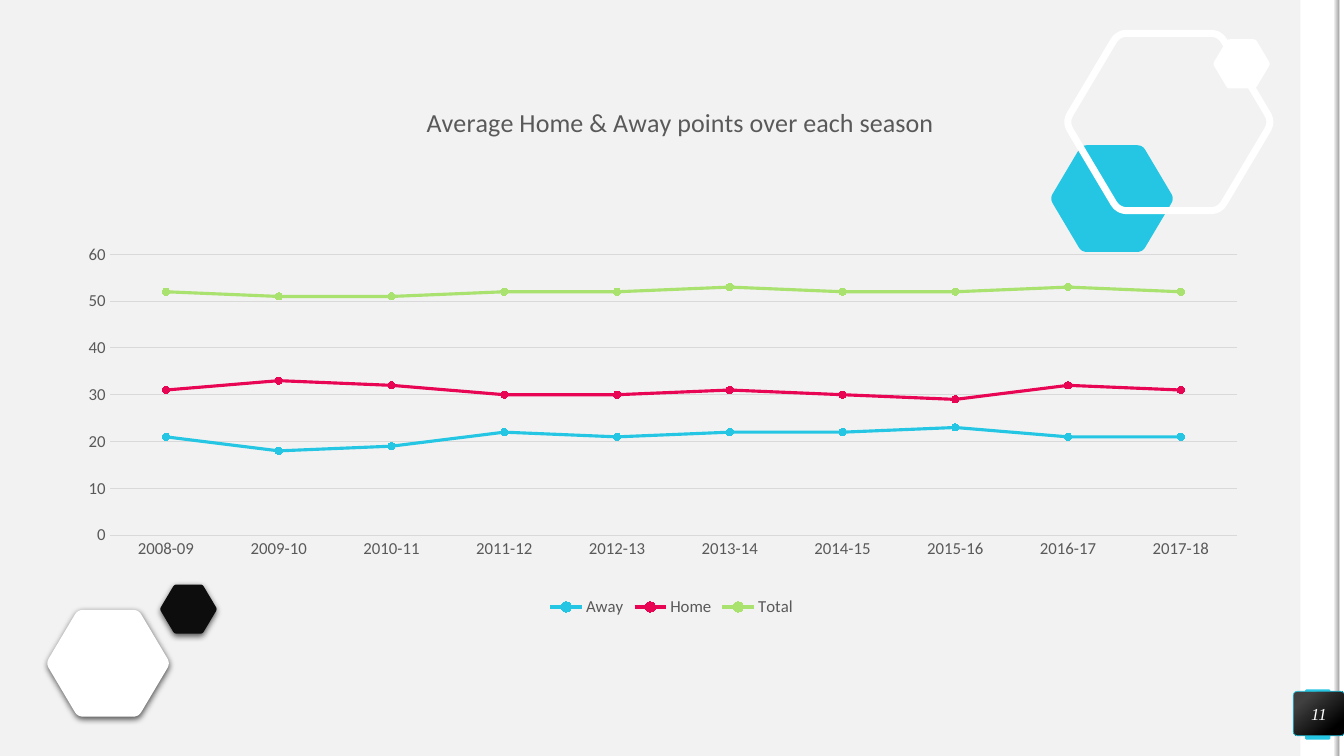
"""Build the slide with the line chart of average home and away points per season."""
from dataclasses import dataclass
from typing import Optional

from lxml.etree import SubElement
from pptx import Presentation
from pptx.chart.data import CategoryChartData
from pptx.dml.color import RGBColor
from pptx.enum.chart import XL_CHART_TYPE, XL_LEGEND_POSITION, XL_MARKER_STYLE, XL_TICK_MARK
from pptx.enum.shapes import MSO_SHAPE
from pptx.enum.text import MSO_ANCHOR, PP_ALIGN
from pptx.oxml.ns import qn
from pptx.util import Cm, Pt

WHITE = RGBColor(0xFF, 0xFF, 0xFF)
BLACK = RGBColor(0x00, 0x00, 0x00)
NEAR_BLACK = RGBColor(0x0D, 0x0D, 0x0D)
CHARCOAL = RGBColor(0x40, 0x40, 0x40)
TEXT_GRAY = RGBColor(0x59, 0x59, 0x59)
EDGE_GRAY = RGBColor(0xA6, 0xA6, 0xA6)
GRID_GRAY = RGBColor(0xD9, 0xD9, 0xD9)
PAPER = RGBColor(0xF2, 0xF2, 0xF2)
CYAN = RGBColor(0x25, 0xC6, 0xE3)
RED = RGBColor(0xE8, 0x05, 0x54)
GREEN = RGBColor(0xA9, 0xE2, 0x6F)

HEXAGON_CORNERS = [(-0.01, 0.5), (0.25, 0), (0.75, 0), (1.01, 0.5), (0.75, 1), (0.25, 1)]
CORNER_CUT = 0.09
CORNER_STEPS = 6


@dataclass
class Hexagon:
    """Rounded hexagon, measured in centimetres."""
    left: float
    top: float
    width: float
    height: float
    fill: Optional[RGBColor] = None
    shadow: bool = False


@dataclass
class Bar:
    """Rectangle, measured in centimetres, with one colour or a gradient of two stops."""
    left: float
    top: float
    width: float
    height: float
    colors: tuple
    stops: tuple = (0, 1)
    angle: float = 0
    rounding: Optional[float] = None


@dataclass
class Series:
    """One line of the chart."""
    name: str
    values: tuple
    color: RGBColor


HEXAGONS = [
    Hexagon(1.19, 15.37, 3.07, 2.69, WHITE, shadow=True),
    Hexagon(26.49, 3.66, 3.07, 2.69, CYAN),
    Hexagon(26.9, 0.84, 5.11, 4.47),
    Hexagon(4.04, 14.73, 1.42, 1.24, NEAR_BLACK, shadow=True),
    Hexagon(30.58, 0.99, 1.42, 1.24, WHITE),
]
BARS = [
    Bar(32.77, 0, 0.99, 19.05, (WHITE,)),
    Bar(32.89, 17.37, 0.64, 1.27, (CYAN,), rounding=0.074),
    Bar(33.74, 0, 0.13, 19.05, (WHITE,)),
    Bar(33.62, 0, 0.13, 19.05, (PAPER, EDGE_GRAY)),
]
BADGE = Bar(32.59, 17.42, 1.3, 1.12, (CHARCOAL, BLACK), (0.2, 0.82), 310, 0.095)
SEASONS = [f"{year}-{(year + 1) % 100:02d}" for year in range(2008, 2018)]
SERIES = [
    Series("Away", (21, 18, 19, 22, 21, 22, 22, 23, 21, 21), CYAN),
    Series("Home", (31, 33, 32, 30, 30, 31, 30, 29, 32, 31), RED),
    Series("Total", (52, 51, 51, 52, 52, 53, 52, 52, 53, 52), GREEN),
]


def style_font(font, size: float, color: RGBColor, name: str = "Calibri",
               italic: bool = False) -> None:
    """Set the look of a font."""
    font.size, font.name, font.bold, font.italic = Pt(size), name, False, italic
    font.color.rgb = color


def write_text(frame, text: str, **font_format) -> None:
    """Write one centred paragraph into a text frame."""
    para = frame.paragraphs[0]
    para.alignment = PP_ALIGN.CENTER
    span = para.add_run()
    span.text = text
    style_font(span.font, **font_format)


def draw_bar(page, bar: Bar):
    """Draw a plain or rounded rectangle without an outline."""
    kind = MSO_SHAPE.RECTANGLE if bar.rounding is None else MSO_SHAPE.ROUNDED_RECTANGLE
    box = page.shapes.add_shape(kind, Cm(bar.left), Cm(bar.top), Cm(bar.width), Cm(bar.height))
    box.shadow.inherit = False
    box.line.fill.background()
    if bar.rounding is not None:
        box.adjustments[0] = bar.rounding
    if len(bar.colors) == 1:
        box.fill.solid()
        box.fill.fore_color.rgb = bar.colors[0]
    else:
        box.fill.gradient()
        box.fill.gradient_angle = bar.angle
        for stop, color, position in zip(box.fill.gradient_stops, bar.colors, bar.stops):
            stop.color.rgb, stop.position = color, position
    return box


def hexagon_outline() -> list:
    """Return the points of a rounded hexagon in a unit square."""
    points = []
    for index, corner in enumerate(HEXAGON_CORNERS):
        before, after = HEXAGON_CORNERS[index - 1], HEXAGON_CORNERS[(index + 1) % 6]
        for step in range(CORNER_STEPS + 1):
            part = step / CORNER_STEPS
            pull_before, pull_after = CORNER_CUT * (1 - part) ** 2, CORNER_CUT * part ** 2
            points.append(tuple(c + pull_before * (b - c) + pull_after * (a - c)
                                for b, c, a in zip(before, corner, after)))
    return points


def draw_hexagon(page, hexagon: Hexagon) -> None:
    """Draw a filled hexagon, or a white outline when it has no fill."""
    points = [(Cm(hexagon.left + x * hexagon.width), Cm(hexagon.top + y * hexagon.height))
              for x, y in hexagon_outline()]
    builder = page.shapes.build_freeform(*points[0])
    builder.add_line_segments(points[1:], close=True)
    shape = builder.convert_to_shape()
    shape.shadow.inherit = False
    if hexagon.fill is None:
        shape.fill.background()
        shape.line.color.rgb, shape.line.width = WHITE, Pt(5)
    else:
        shape.fill.solid()
        shape.fill.fore_color.rgb = hexagon.fill
        shape.line.fill.background()
    if hexagon.shadow:
        effects = shape.element.spPr.find(qn("a:effectLst"))
        shadow = SubElement(effects, qn("a:outerShdw"), blurRad=str(Pt(4.5)),
                            dist=str(Pt(1.5)), dir="5400000", rotWithShape="0")
        color = SubElement(shadow, qn("a:srgbClr"), val=str(BLACK))
        SubElement(color, qn("a:alpha"), val="63000")


def place(parent, index: int, target: Optional[str] = None, **sizes: float) -> None:
    """Give a chart part a manual layout in fractions of the chart."""
    for old in parent.findall(qn("c:layout")):
        parent.remove(old)
    layout = SubElement(parent, qn("c:layout"))
    parent.insert(index, layout)
    manual = SubElement(layout, qn("c:manualLayout"))
    if target:
        SubElement(manual, qn("c:layoutTarget"), val=target)
    for mode in ("xMode", "yMode"):
        SubElement(manual, qn(f"c:{mode}"), val="edge")
    for name, value in sizes.items():
        SubElement(manual, qn(f"c:{name}"), val=str(value))


def draw_chart(page) -> None:
    """Draw the line chart with its title, axes and legend."""
    data = CategoryChartData()
    data.categories = SEASONS
    for series in SERIES:
        data.add_series(series.name, series.values)
    chart = page.shapes.add_chart(XL_CHART_TYPE.LINE_MARKERS, Cm(1.19), Cm(1.88),
                                  Cm(31.47), Cm(13.77), data).chart
    style_font(chart.font, 12, TEXT_GRAY)
    write_text(chart.chart_title.text_frame, "Average Home & Away points over each season",
               size=18.6, color=TEXT_GRAY)
    place(chart.chart_title.element, 1, x=0.3, y=0.045)
    place(chart.element.find(".//" + qn("c:plotArea")), 0, "inner", x=0.05, y=0.329, w=0.903, h=0.514)
    chart.has_legend = True
    chart.legend.position = XL_LEGEND_POSITION.BOTTOM
    chart.legend.include_in_layout = False
    for axis in (chart.category_axis, chart.value_axis):
        axis.major_tick_mark = axis.minor_tick_mark = XL_TICK_MARK.NONE
        style_font(axis.tick_labels.font, 12, TEXT_GRAY)
    chart.value_axis.minimum_scale, chart.value_axis.maximum_scale = 0, 60
    chart.value_axis.major_unit = 10
    chart.value_axis.format.line.fill.background()
    for part in (chart.category_axis, chart.value_axis.major_gridlines):
        part.format.line.color.rgb, part.format.line.width = GRID_GRAY, Pt(0.75)
    chart.plots[0].vary_by_categories = False
    for line, series in zip(chart.plots[0].series, SERIES):
        line.smooth = False
        line.format.line.color.rgb, line.format.line.width = series.color, Pt(2.25)
        line.marker.style, line.marker.size = XL_MARKER_STYLE.CIRCLE, 5
        line.marker.format.fill.solid()
        line.marker.format.fill.fore_color.rgb = series.color
        line.marker.format.line.color.rgb = series.color


def draw_page_number(page) -> None:
    """Draw the dark badge with the page number."""
    badge = draw_bar(page, BADGE)
    badge.line.color.rgb, badge.line.width = CYAN, Pt(0.5)
    frame = badge.text_frame
    frame.margin_left = frame.margin_right = frame.margin_top = frame.margin_bottom = 0
    frame.vertical_anchor = MSO_ANCHOR.MIDDLE
    write_text(frame, "11", size=12, color=WHITE, name="Times New Roman", italic=True)


def main() -> None:
    """Build and save the deck."""
    deck = Presentation()
    deck.slide_width, deck.slide_height = Cm(33.87), Cm(19.05)
    page = deck.slides.add_slide(deck.slide_layouts[6])
    page.background.fill.solid()
    page.background.fill.fore_color.rgb = PAPER
    for bar in BARS:
        draw_bar(page, bar)
    for hexagon in HEXAGONS:
        draw_hexagon(page, hexagon)
    draw_chart(page)
    draw_page_number(page)
    deck.save("out.pptx")


if __name__ == "__main__":
    main()
